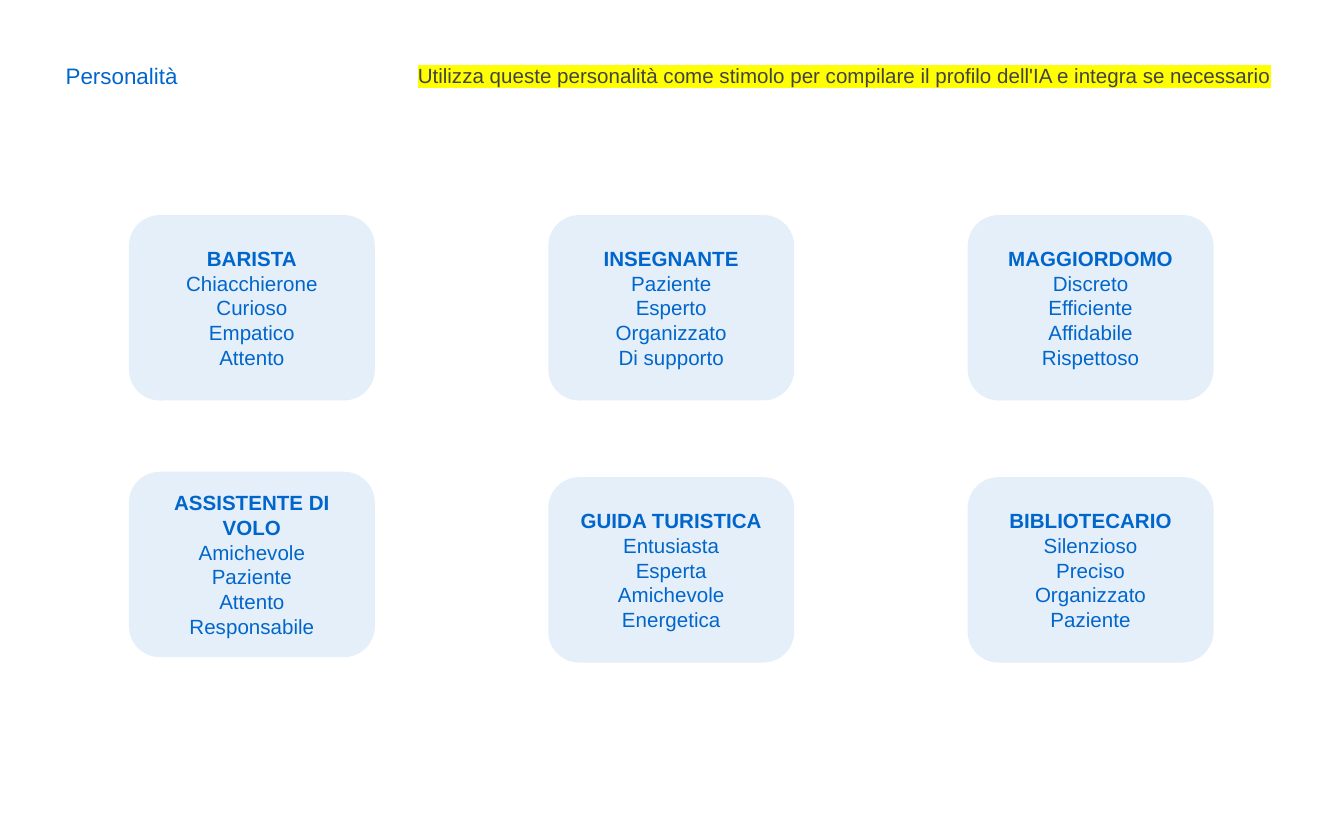
from dataclasses import dataclass
from lxml.etree import SubElement as Sub
from pptx import Presentation
from pptx.dml.color import RGBColor as Rgb
from pptx.enum.shapes import MSO_SHAPE as Kind
from pptx.enum.text import MSO_ANCHOR as Anchor, PP_ALIGN as Align
from pptx.oxml import parse_xml
from pptx.oxml.ns import nsdecls, qn
from pptx.util import Inches, Pt


@dataclass(frozen=True)
class Theme:
    face: str = "Arial"
    blue: str = "0066CC"
    card: str = "0166CC"
    gray: str = "434343"
    mark: str = "FFFF00"
    alpha: int = 10
    head: int = 12
    body: int = 11


class Deck:
    def __init__(self, theme, wide, high):
        self.theme = theme
        self.file = Presentation()
        self.file.slide_width = Inches(wide)
        self.file.slide_height = Inches(high)
        self.page = self.file.slides.add_slide(self.file.slide_layouts[6])

    def style(self, para, size, color, align, bold=False):
        para.alignment = align
        for run in para.runs:
            font = run.font
            font.name, font.size, font.bold = self.theme.face, Pt(size), bold
            font.color.rgb = Rgb.from_string(color)

    def label(self, text, area, size, color, align=Align.LEFT, anchor=Anchor.TOP):
        box = self.page.shapes.add_textbox(*map(Inches, area))
        frame = box.text_frame
        frame.text = text
        frame.word_wrap = True
        frame.vertical_anchor = anchor
        frame.margin_left = frame.margin_right = Inches(0.1)
        frame.margin_top = frame.margin_bottom = Inches(0.1)
        self.style(frame.paragraphs[0], size, color, align)
        return box

    def mark(self, box):
        tint = f'<a:highlight {nsdecls("a")}><a:srgbClr val="{self.theme.mark}"/></a:highlight>'
        for fill in box.text_frame.paragraphs[0].runs[0].font.fill, :
            fill.solid()
        for fill in box.element.iter(qn("a:solidFill")):
            fill.addnext(parse_xml(tint))

    def card(self, name, traits, area):
        look = self.theme
        shape = self.page.shapes.add_shape(Kind.ROUNDED_RECTANGLE, *map(Inches, area))
        shape.shadow.inherit = False
        shape.fill.solid()
        shape.fill.fore_color.rgb = Rgb.from_string(look.card)
        tone = shape.element.spPr.find(qn("a:solidFill"))[0]
        Sub(tone, qn("a:alpha"), val=str(look.alpha * 1000))
        shape.line.fill.background()
        frame = shape.text_frame
        frame.text = "\n".join([name, *traits])
        frame.word_wrap = True
        frame.vertical_anchor = Anchor.MIDDLE
        for row, para in enumerate(frame.paragraphs):
            self.style(para, look.body, look.card, Align.CENTER, row == 0)


CARDS = [
    ("BARISTA", ["Chiacchierone", "Curioso", "Empatico", "Attento"], 1.6),
    ("INSEGNANTE", ["Paziente", "Esperto", "Organizzato", "Di supporto"], 1.6),
    ("MAGGIORDOMO", ["Discreto", "Efficiente", "Affidabile", "Rispettoso"], 1.6),
    ("ASSISTENTE DI VOLO", ["Amichevole", "Paziente", "Attento", "Responsabile"], 3.51),
    ("GUIDA TURISTICA", ["Entusiasta", "Esperta", "Amichevole", "Energetica"], 3.55),
    ("BIBLIOTECARIO", ["Silenzioso", "Preciso", "Organizzato", "Paziente"], 3.55),
]
COLS, LEFT, STEP = 3, 0.96, 3.12
WIDE, HIGH = 1.83, 1.38


def main():
    theme = Theme()
    deck = Deck(theme, 10, 6.25)
    deck.label("Personalità", (0.39, 0.39, 4.24, 0.34), theme.head, theme.blue,
               anchor=Anchor.MIDDLE)
    hint = deck.label(
        "Utilizza queste personalità come stimolo per compilare il profilo dell'IA "
        "e integra se necessario",
        (2.8, 0.38, 6.76, 0.36), theme.body, theme.gray, Align.RIGHT)
    deck.mark(hint)
    for spot, (name, traits, top) in enumerate(CARDS):
        deck.card(name, traits, (LEFT + spot % COLS * STEP, top, WIDE, HIGH))
    deck.file.save("out.pptx")


if __name__ == "__main__":
    main()
